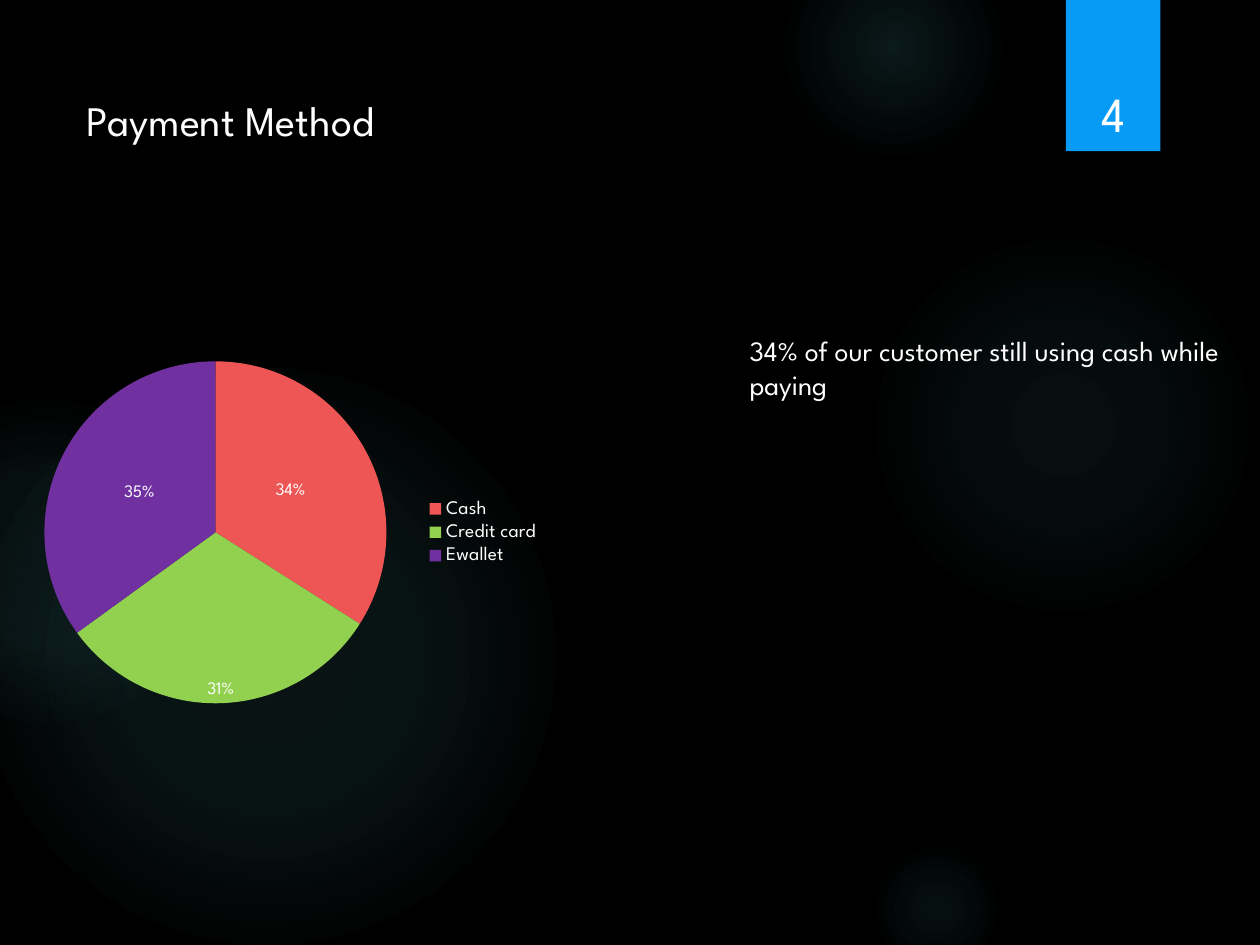
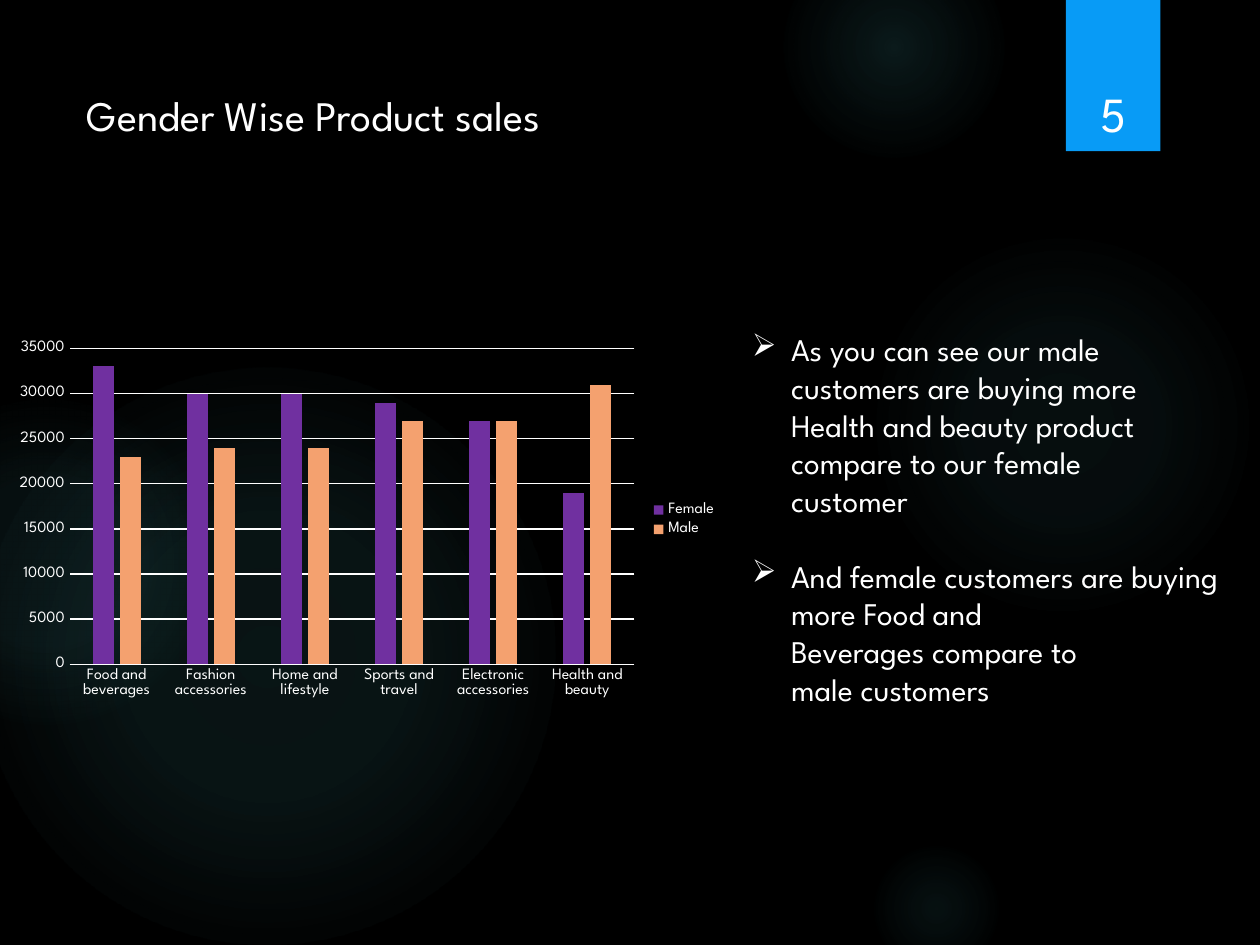
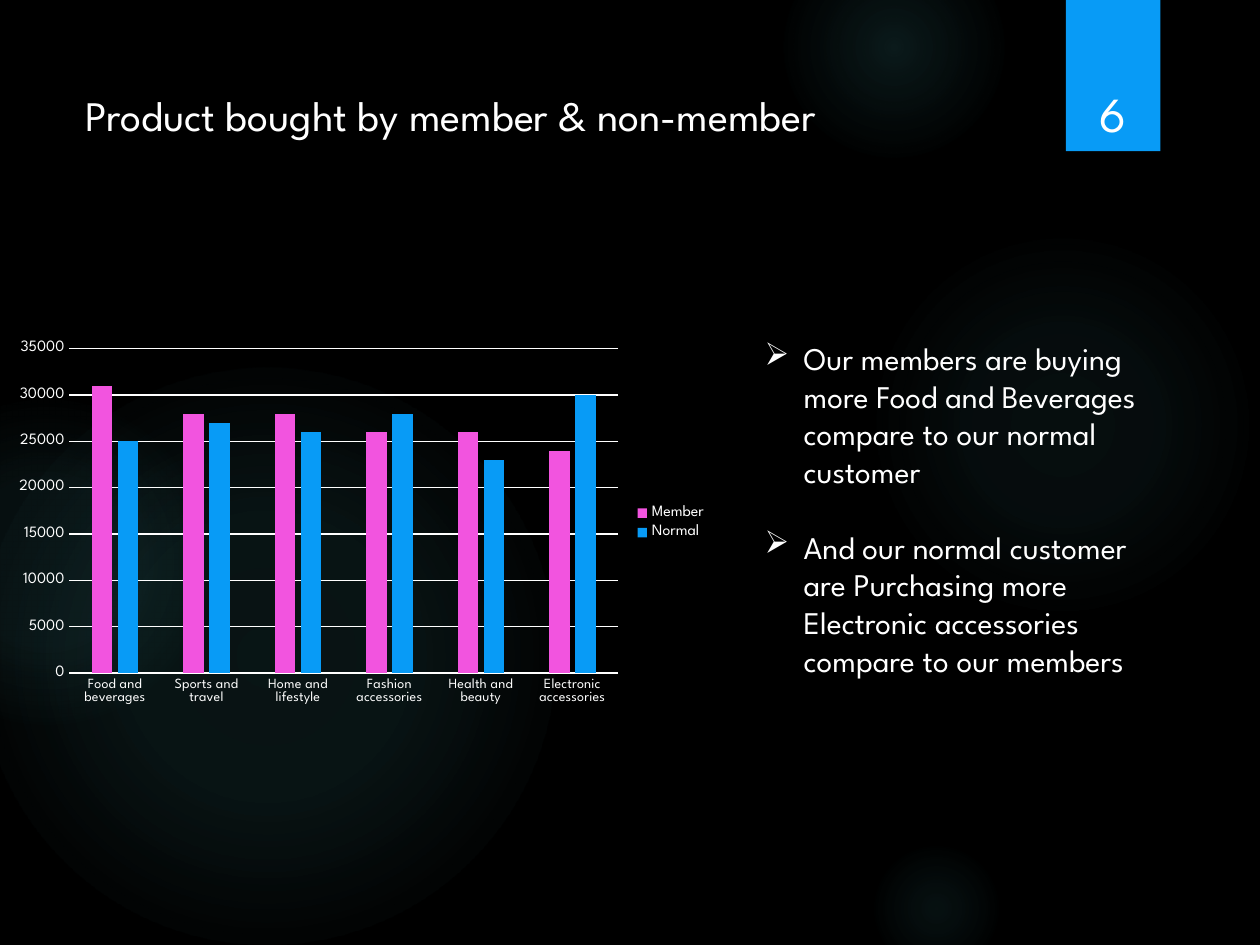
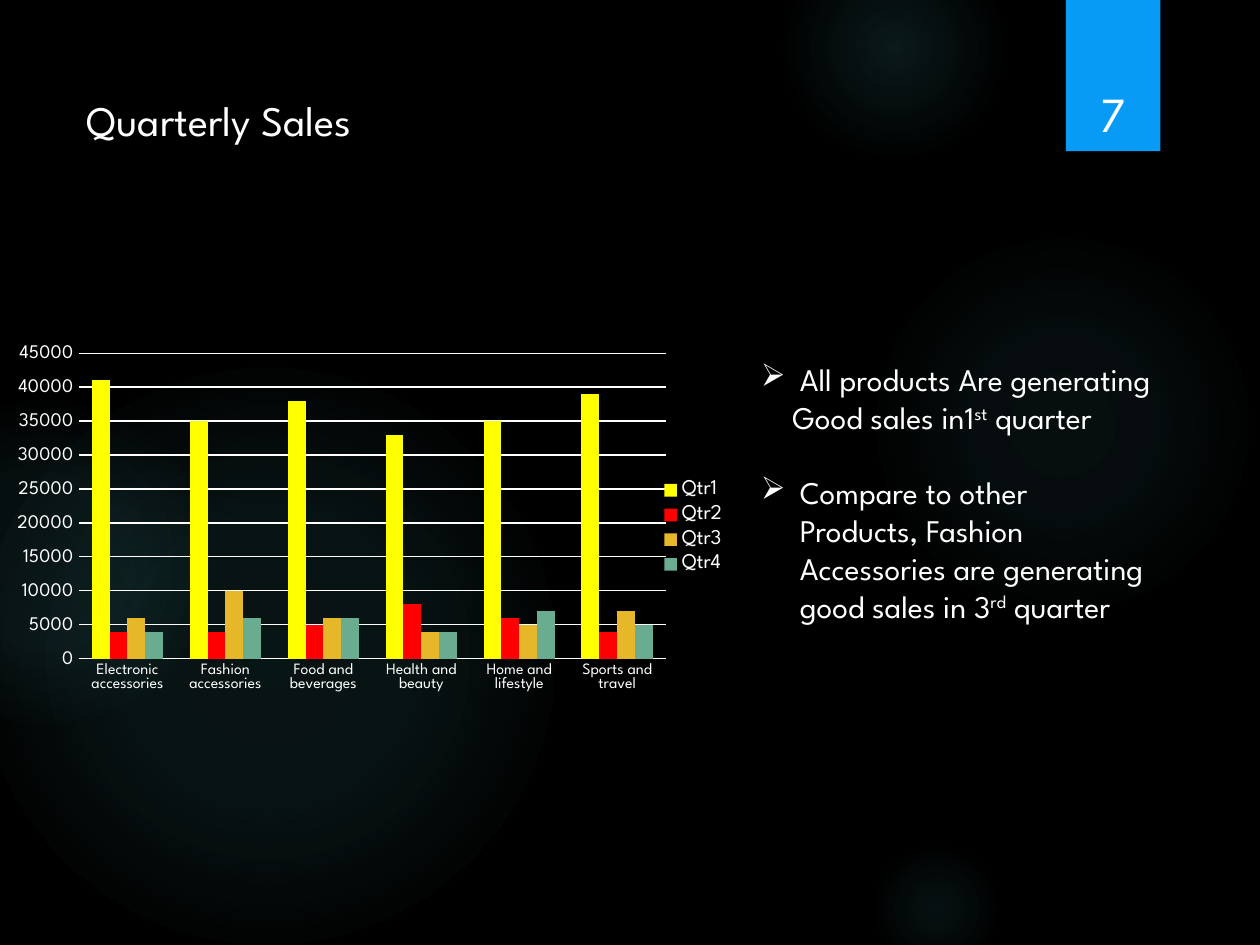
from pptx import Presentation
from pptx.chart.data import CategoryChartData
from pptx.dml.color import RGBColor
from pptx.enum.chart import XL_CHART_TYPE, XL_LABEL_POSITION, XL_LEGEND_POSITION, XL_TICK_MARK
from pptx.enum.shapes import MSO_SHAPE
from pptx.enum.text import MSO_ANCHOR, MSO_AUTO_SIZE, PP_ALIGN
from pptx.oxml import parse_xml
from pptx.oxml.ns import nsdecls
from pptx.util import Inches, Pt

ELLIPSE, RECT = MSO_SHAPE.OVAL, MSO_SHAPE.RECTANGLE
PIE, COLUMNS = XL_CHART_TYPE.PIE, XL_CHART_TYPE.COLUMN_CLUSTERED
LEGEND_RIGHT, NO_TICK = XL_LEGEND_POSITION.RIGHT, XL_TICK_MARK.NONE
BEST_FIT, LABEL_CENTER = XL_LABEL_POSITION.BEST_FIT, XL_LABEL_POSITION.CENTER
TOP, BOTTOM = MSO_ANCHOR.TOP, MSO_ANCHOR.BOTTOM
LEFT, CENTER = PP_ALIGN.LEFT, PP_ALIGN.CENTER
FIT_SHAPE = MSO_AUTO_SIZE.SHAPE_TO_FIT_TEXT

FONT = "League Spartan"
COLS, ROWS = 100, 75
TITLE_ONLY = 5
BULLET = "➢"
INDENT = 0.31
COLORS = {
    "black": "000000", "white": "FFFFFF", "glow": "50B9C1", "blue": "089BF6",
    "coral": "ED5654", "green": "92D050", "purple": "7030A0", "peach": "F4A16F",
    "pink": "F254DF", "yellow": "FFFF00", "red": "FF0000", "gold": "E6B729",
    "sage": "6AAC90",
}
# left, top, diameter, then (position, opacity) of each gradient stop in percent
GLOWS = [
    (68.9, 18.3, 30.8, [(0, 7), (36, 6), (69, 0)]),
    (62.2, -5, 17.5, [(0, 14), (36, 7), (73, 0)]),
    (68.9, 66.7, 10.8, [(0, 9), (36, 5), (66, 0)]),
    (-1.7, 29.2, 45.8, [(0, 11), (36, 10), (75, 0)]),
    (-9.2, 31.7, 25.8, [(0, 8), (36, 8), (72, 0)]),
]


def rgb(color):
    return RGBColor.from_string(COLORS[color])


class Deck:
    """Style, grid and current slide of the presentation."""

    def __init__(self):
        self.prs = Presentation()
        self.prs.slide_width, self.prs.slide_height = Inches(10), Inches(7.5)
        self.layout = self.prs.slide_layouts[TITLE_ONLY]
        fill = self.prs.slide_master.background.fill
        fill.solid()
        fill.fore_color.rgb = rgb("black")
        for ph in list(self.layout.placeholders)[1:]:
            ph.element.getparent().remove(ph.element)
        self.s = None

    def box(self, x, y, w, h):
        """Turn columns and rows of the grid into lengths."""
        col, row = self.prs.slide_width / COLS, self.prs.slide_height / ROWS
        return int(x * col), int(y * row), int(w * col), int(h * row)

    def style(self, font, size, color="white"):
        font.name, font.size, font.color.rgb = FONT, Pt(size), rgb(color)

    def slide(self, number, title, x, y, width):
        self.s = self.prs.slides.add_slide(self.layout)
        if number == FIRST_NUMBER:
            self.backdrop()
        self.text((84.9, 3.4, 6.9, 8.4), [str(number)], 28, align=CENTER, anchor=BOTTOM)
        sp = self.s.shapes.title
        sp.left, sp.top, sp.width, sp.height = self.box(x, y, width, 5)
        tf = sp.text_frame
        tf.text = title
        tf.word_wrap, tf.auto_size, tf.vertical_anchor = False, FIT_SHAPE, TOP
        p = tf.paragraphs[0]
        p.alignment = LEFT
        self.style(p.runs[0].font, 24)

    def backdrop(self):
        """Draw the glows and the number tab once and hand them to the layout."""
        shapes = [self.glow(*glow) for glow in GLOWS] + [self.tab()]
        for i, sp in enumerate(shapes):
            self.layout.shapes.element.insert(2 + i, sp.element)

    def shape(self, kind, box):
        sp = self.s.shapes.add_shape(kind, *self.box(*box))
        sp.line.fill.background()
        sp.shadow.inherit = False
        return sp

    def glow(self, x, y, size, stops):
        sp = self.shape(ELLIPSE, (x, y, size, size))
        gs = "".join(
            f'<a:gs pos="{pos * 1000}"><a:srgbClr val="{COLORS["glow"]}">'
            f'<a:alpha val="{alpha * 1000}"/></a:srgbClr></a:gs>' for pos, alpha in stops)
        sp.element.spPr.insert(2, parse_xml(
            f'<a:gradFill {nsdecls("a")}><a:gsLst>{gs}</a:gsLst><a:path path="circle">'
            '<a:fillToRect l="50000" t="50000" r="50000" b="50000"/></a:path></a:gradFill>'))
        return sp

    def tab(self):
        sp = self.shape(RECT, (84.6, 0, 7.5, 12))
        sp.fill.solid()
        sp.fill.fore_color.rgb = rgb("blue")
        sp.element.spPr[-1].append(parse_xml(
            f'<a:outerShdw {nsdecls("a")} blurRad="{Pt(3)}" dist="{Pt(2)}" dir="5400000">'
            f'<a:srgbClr val="{COLORS["black"]}"><a:alpha val="45000"/></a:srgbClr>'
            '</a:outerShdw>'))
        return sp

    def text(self, box, lines, size, align=LEFT, anchor=TOP, before=0):
        """Add a text box; parts between ^ signs are superscript."""
        tf = self.s.shapes.add_textbox(*self.box(*box)).text_frame
        tf.word_wrap, tf.vertical_anchor = True, anchor
        for i, line in enumerate(lines):
            p = tf.add_paragraph() if i else tf.paragraphs[0]
            p.alignment, p.space_before = align, Pt(before)
            for j, part in enumerate(line.split("^")):
                r = p.add_run()
                r.text = part
                self.style(r.font, size)
                if j % 2:
                    r.font._element.set("baseline", "30000")
        return tf

    def bullets(self, box, items, indents=None):
        """Add items, each a list of lines whose first one carries the bullet."""
        tf = self.text(box, [line for item in items for line in item], 18)
        tf.auto_size = FIT_SHAPE
        paragraphs = iter(tf.paragraphs)
        for i, item in enumerate(items):
            for j in range(len(item)):
                p = next(paragraphs)
                hang = INDENT if j == 0 or not indents else indents[i]
                pPr = p._p.get_or_add_pPr()
                pPr.set("marL", str(Inches(hang)))
                if j == 0:
                    p.space_before = Pt(21.5 if i else 0)
                    pPr.set("indent", str(-Inches(hang)))
                    pPr.append(parse_xml(f'<a:buChar {nsdecls("a")} char="{BULLET}"/>'))

    def chart(self, kind, box, cats, series, legend_size, number_format="General"):
        data = CategoryChartData(number_format=number_format)
        data.categories = cats
        for name, values in series:
            data.add_series(name, values)
        chart = self.s.shapes.add_chart(kind, *self.box(*box), data).chart
        self.style(chart.font, 10)
        chart.has_title = False
        chart.has_legend = True
        chart.legend.position = LEGEND_RIGHT
        chart.legend.include_in_layout = False
        self.style(chart.legend.font, legend_size)
        return chart

    def pie(self, box, name, slices):
        """Add a pie from (category, share, colour) slices."""
        cats, values, colors = zip(*slices)
        chart = self.chart(PIE, box, cats, [(name, values)], 11, "0%")
        series = chart.plots[0].series[0]
        labels = series.data_labels
        labels.show_value, labels.position = True, BEST_FIT
        labels.number_format, labels.number_format_is_linked = "0%", False
        self.style(labels.font, 10)
        for i, color in enumerate(colors):
            fill = series.points[i].format.fill
            fill.solid()
            fill.fore_color.rgb = rgb(color)
        for i in (0, 2):
            label = series.points[i].data_label
            self.style(label.font, 10)
            label.position = LABEL_CENTER

    def columns(self, box, cats, series, sizes=(9, 9, 9), gap=219, overlap=-27, plot=None):
        """Add columns of (name, colour, thousands); sizes are category, value, legend."""
        cat_size, val_size, legend_size = sizes
        rows = [(name, [v * 1000 for v in values]) for name, _, values in series]
        chart = self.chart(COLUMNS, box, cats, rows, legend_size)
        bars = chart.plots[0]
        bars.gap_width, bars.overlap, bars.vary_by_categories = gap, overlap, False
        for bar, (_, color, _) in zip(bars.series, series):
            bar.format.fill.solid()
            bar.format.fill.fore_color.rgb = rgb(color)
        cat, val = chart.category_axis, chart.value_axis
        for axis, size in ((cat, cat_size), (val, val_size)):
            axis.major_tick_mark = axis.minor_tick_mark = NO_TICK
            self.style(axis.tick_labels.font, size)
        val.has_major_gridlines = True
        val.format.line.fill.background()
        for line in (cat.format.line, val.major_gridlines.format.line):
            line.width, line.color.rgb = Pt(0.75), rgb("white")
        if plot:
            places = "".join(f'<c:{k} val="{v}"/>' for k, v in zip("xywh", plot))
            chart.element.chart.plotArea.insert(0, parse_xml(
                f'<c:layout {nsdecls("c")}><c:manualLayout><c:layoutTarget val="inner"/>'
                f'<c:xMode val="edge"/><c:yMode val="edge"/>{places}'
                '</c:manualLayout></c:layout>'))


FIRST_NUMBER = 4
FOOD, FASHION, HOME = "Food and beverages", "Fashion accessories", "Home and lifestyle"
SPORTS, ELECTRONIC, HEALTH = "Sports and travel", "Electronic accessories", "Health and beauty"


def main():
    deck = Deck()

    deck.slide(4, "Payment Method", 5.9, 7, 30.6)
    deck.pie((0.6, 27.3, 43.3, 29.9), "Series 1", [
        ("Cash", 0.34, "coral"), ("Credit card", 0.31, "green"), ("Ewallet", 0.35, "purple")])
    deck.text((58.5, 26, 40.9, 8.8),
              ["34% of our customer still using cash while paying"], 16, before=10)

    deck.slide(5, "Gender Wise Product sales", 5.9, 6.6, 46.5)
    deck.bullets((58.7, 25.7, 39.4, 34.3), [
        ["As you can see our male", "customers are buying more", "Health and beauty product",
         "compare to our female", "customer"],
        ["And female customers are buying more Food and", "Beverages compare to",
         "male customers"]])
    deck.columns((0.4, 26.5, 57.5, 29.5), [FOOD, FASHION, HOME, SPORTS, ELECTRONIC, HEALTH], [
        ("Female", "purple", [33, 30, 30, 29, 27, 19]),
        ("Male", "peach", [23, 24, 24, 27, 27, 31])])

    deck.slide(6, "Product bought by member & non-member", 5.8, 6.6, 73.7)
    deck.columns((0.4, 26.5, 56.7, 30), [FOOD, SPORTS, HOME, FASHION, HEALTH, ELECTRONIC], [
        ("Member", "pink", [31, 28, 28, 26, 26, 24]),
        ("Normal", "blue", [25, 27, 26, 28, 23, 30])], sizes=(8, 9, 9))
    deck.bullets((59.7, 26.4, 39.9, 28.3), [
        ["Our members are buying", "more Food and Beverages", "compare to our normal",
         "customer"],
        ["And our normal customer", "are Purchasing more", "Electronic accessories",
         "compare to our members"]])

    deck.slide(7, "Quarterly Sales", 5.9, 7, 26.2)
    deck.columns((0.4, 26.5, 58.3, 30.7), [ELECTRONIC, FASHION, FOOD, HEALTH, HOME, SPORTS], [
        ("Qtr1", "yellow", [41, 35, 38, 33, 35, 39]),
        ("Qtr2", "red", [4, 4, 5, 8, 6, 4]),
        ("Qtr3", "gold", [6, 10, 6, 4, 5, 7]),
        ("Qtr4", "sage", [4, 6, 6, 4, 7, 5])],
        sizes=(9, 11, 12), gap=150, overlap=0, plot=(0.1, 0.05, 0.8, 0.79))
    deck.bullets((59.4, 28.1, 38.6, 22.2), [
        ["All products Are generating", "Good sales in1^st^ quarter"],
        ["Compare to other", "Products, Fashion", "Accessories are generating",
         "good sales in 3^rd^ quarter"]], indents=(0.25, INDENT))

    deck.prs.save("out.pptx")


if __name__ == "__main__":
    main()
